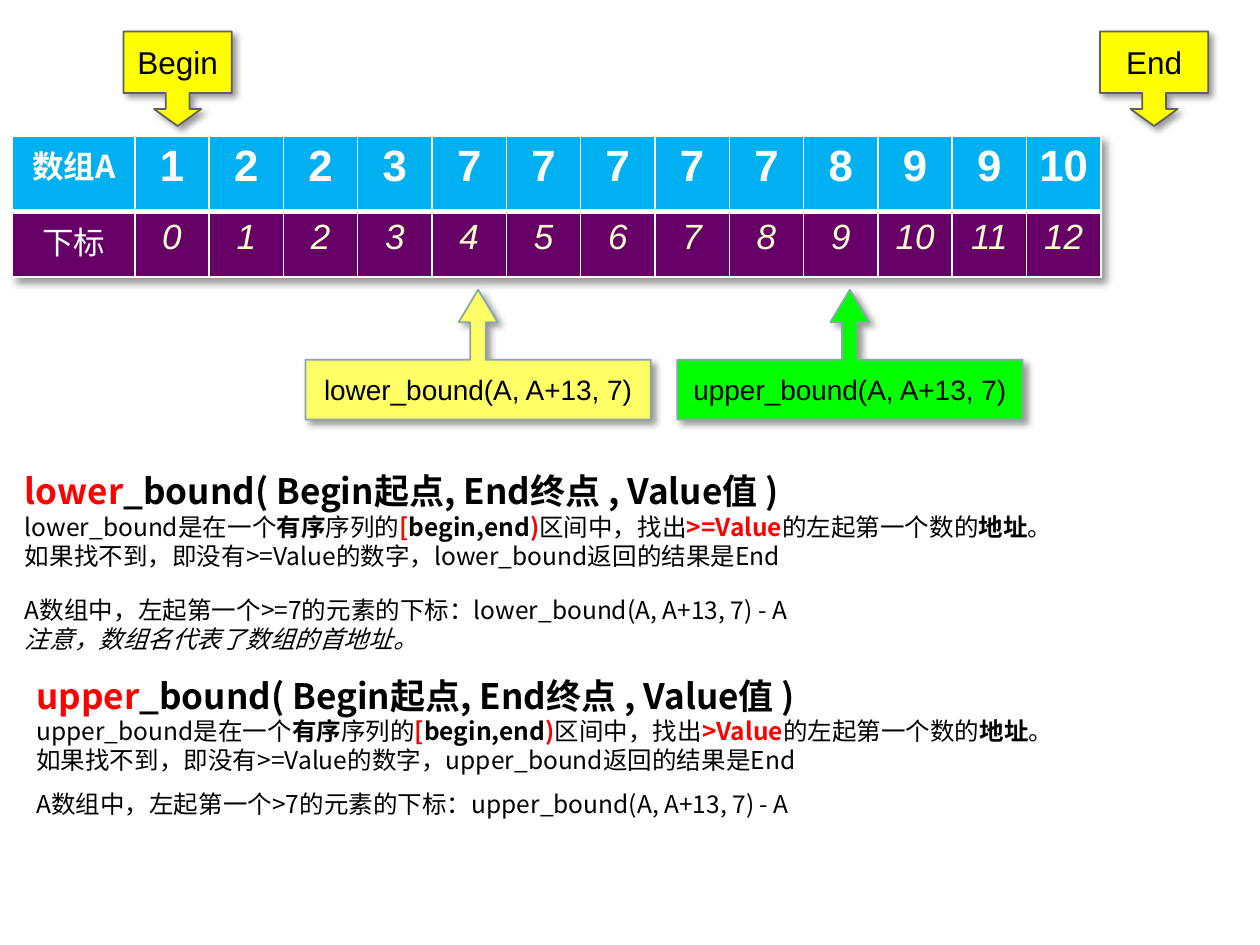
import lxml.etree
import pptx
import pptx.dml.color
import pptx.enum.shapes
import pptx.enum.text
import pptx.oxml
import pptx.oxml.ns
import pptx.util

Inches = pptx.util.Inches
Pt = pptx.util.Pt
RGBColor = pptx.dml.color.RGBColor
SHAPE = pptx.enum.shapes.MSO_SHAPE
CENTER = pptx.enum.text.PP_ALIGN.CENTER
MIDDLE = pptx.enum.text.MSO_ANCHOR.MIDDLE
qn = pptx.oxml.ns.qn

BLACK = RGBColor(0x00, 0x00, 0x00)
WHITE = RGBColor(0xFF, 0xFF, 0xFF)
RED = RGBColor(0xFF, 0x00, 0x00)
BLUE = RGBColor(0x00, 0xB0, 0xF0)
PURPLE = RGBColor(0x66, 0x00, 0x66)
CREAM = RGBColor(0xFF, 0xFF, 0xCC)
YELLOW = RGBColor(0xFF, 0xFF, 0x00)
PALE_YELLOW = RGBColor(0xFF, 0xFF, 0x66)
GREEN = RGBColor(0x00, 0xFF, 0x00)
GRAY = RGBColor(0x60, 0x60, 0x60)
GRAY_TEAL = RGBColor(0x8A, 0xA6, 0xA8)

LATIN = "Arial"
CHINESE = "Noto Sans CJK SC"
BOLD = {"bold": True}
BOLD_RED = {"bold": True, "color": RED}

TABLE_LEFT, TABLE_TOP = 0.1, 1.08
LABEL_WIDTH, CELL_WIDTH = 0.97, 0.59
ARRAY = [1, 2, 2, 3, 7, 7, 7, 7, 7, 8, 9, 9, 10]


class Slide:
    def __init__(self, presentation):
        self.shapes = presentation.slides.add_slide(presentation.slide_layouts[6]).shapes

    def run(self, paragraph, words, size, face=CHINESE, color=BLACK, **values):
        run = paragraph.add_run()
        run.text = words
        for name, value in {"size": Pt(size), "name": face, **values}.items():
            setattr(run.font, name, value)
        run.font.color.rgb = color
        east_asian = lxml.etree.SubElement(run.font._element, qn("a:ea"))
        east_asian.set("typeface", face)

    def shadow(self):
        return pptx.oxml.parse_xml(
            f'<a:effectLst {pptx.oxml.ns.nsdecls("a")}>'
            f'<a:outerShdw blurRad="{Pt(4)}" dist="{Pt(3)}" dir="2700000" algn="tl" rotWithShape="0">'
            '<a:srgbClr val="000000"><a:alpha val="40000"/></a:srgbClr>'
            "</a:outerShdw></a:effectLst>"
        )

    def text(self, left, top, width, height, paragraphs):
        frame = self.shapes.add_textbox(*map(Inches, (left, top, width, height))).text_frame
        frame.word_wrap = True
        for index, (size, runs) in enumerate(paragraphs):
            paragraph = frame.add_paragraph() if index else frame.paragraphs[0]
            for words, values in runs:
                self.run(paragraph, words, size, **values)

    def callout(self, kind, center, top, width, height, words, size, fill, line, adjustments):
        box = map(Inches, (center - width / 2, top, width, height))
        shape = self.shapes.add_shape(kind, *box)
        for index, value in enumerate(adjustments):
            shape.adjustments[index] = value
        shape.fill.solid()
        shape.fill.fore_color.rgb = fill
        shape.line.color.rgb = line
        shape.line.width = Pt(1)
        shape.shadow.inherit = False
        properties = shape._element.spPr
        properties.replace(properties.find(qn("a:effectLst")), self.shadow())
        frame = shape.text_frame
        margins = {"margin_left": Inches(0.05), "margin_right": Inches(0.05)}
        for name, value in {"vertical_anchor": MIDDLE, "word_wrap": True, **margins}.items():
            setattr(frame, name, value)
        frame.paragraphs[0].alignment = CENTER
        self.run(frame.paragraphs[0], words, size, LATIN)

    def cell(self, cell, words, fill, borders, size, **values):
        cell.fill.solid()
        cell.fill.fore_color.rgb = fill
        paragraph = cell.text_frame.paragraphs[0]
        paragraph.alignment = CENTER
        self.run(paragraph, words, size, **values)
        properties = cell._tc.get_or_add_tcPr()
        for index, (side, width) in enumerate(borders.items()):
            properties.insert(index, pptx.oxml.parse_xml(
                f'<a:{side} {pptx.oxml.ns.nsdecls("a")} w="{Pt(width)}"><a:solidFill>'
                f'<a:srgbClr val="{WHITE}"/></a:solidFill></a:{side}>'
            ))

    def table(self, left, top, widths, rows):
        height = sum(row["height"] for row in rows)
        box = map(Inches, (left, top, sum(widths), height))
        table = self.shapes.add_table(len(rows), len(widths), *box).table
        table._tbl.tblPr.insert(0, self.shadow())
        for column, width in zip(table.columns, widths):
            column.width = Inches(width)
        for index, row in enumerate(rows):
            table.rows[index].height = Inches(row["height"])
            for column, words in enumerate(row["words"]):
                style = row["value"] if column else row["label"]
                self.cell(table.cell(index, column), words, row["fill"], row["borders"], **style)


def explanation(name, condition):
    return [
        (20, [(name, BOLD_RED), ("_bound( Begin起点, End终点 , Value值 )", BOLD)]),
        (14, [
            (f"{name}_bound是在一个", {}), ("有序", BOLD), ("序列的", {}),
            ("[", BOLD_RED), ("begin,end", BOLD), (")", BOLD_RED),
            ("区间中，找出", {}), (f"{condition}Value", BOLD_RED),
            ("的左起第一个数的", {}), ("地址", BOLD), ("。", {}),
        ]),
        (14, [(f"如果找不到，即没有>=Value的数字，{name}_bound返回的结果是End", {})]),
    ]


def example(name, condition):
    return (14, [(f"A数组中，左起第一个{condition}7的元素的下标：{name}_bound(A, A+13, 7) - A", {})])


def cell_center(index):
    return TABLE_LEFT + LABEL_WIDTH + (index + 0.5) * CELL_WIDTH


def main():
    presentation = pptx.Presentation()
    presentation.slide_width = Inches(10)
    presentation.slide_height = Inches(7.5)
    slide = Slide(presentation)

    array_row = {
        "words": ["数组A", *map(str, ARRAY)], "height": 0.6, "fill": BLUE,
        "borders": {"lnL": 1, "lnR": 1, "lnT": 1, "lnB": 3},
        "label": {"size": 18, "color": WHITE, "bold": True},
        "value": {"size": 25, "face": LATIN, "color": WHITE, "bold": True},
    }
    index_row = {
        "words": ["下标", *map(str, range(len(ARRAY)))], "height": 0.52, "fill": PURPLE,
        "borders": {"lnL": 1, "lnR": 1, "lnT": 3, "lnB": 1},
        "label": {"size": 18, "color": WHITE, "bold": False},
        "value": {"size": 20, "face": LATIN, "color": CREAM, "bold": False, "italic": True},
    }
    widths = [LABEL_WIDTH] + [CELL_WIDTH] * len(ARRAY)
    slide.table(TABLE_LEFT, TABLE_TOP, widths, [array_row, index_row])

    note = (14, [("注意，数组名代表了数组的首地址。", {"italic": True})])
    slide.text(0.1, 4.67, 8.9, 0.57, [example("lower", ">="), note])
    slide.text(0.1, 3.68, 9.6, 0.91, explanation("lower", ">="))

    for words, center in (("Begin", 1.41), ("End", 9.16)):
        slide.callout(SHAPE.DOWN_ARROW_CALLOUT, center, 0.25, 0.86, 0.75, words, 18,
                      YELLOW, GRAY, (0.25, 0.25, 0.18, 0.65))
    for name, position, fill in (("lower", 4, PALE_YELLOW), ("upper", 9, GREEN)):
        slide.callout(SHAPE.UP_ARROW_CALLOUT, cell_center(position) + 0.07, 2.3, 2.74, 1.03,
                      f"{name}_bound(A, A+13, 7)", 16, fill, GRAY_TEAL,
                      (0.12, 0.15, 0.25, 0.46))

    slide.text(0.19, 5.3, 9.6, 0.91, explanation("upper", ">"))
    slide.text(0.19, 6.21, 8.9, 0.34, [example("upper", ">")])
    presentation.save("out.pptx")


if __name__ == "__main__":
    main()
